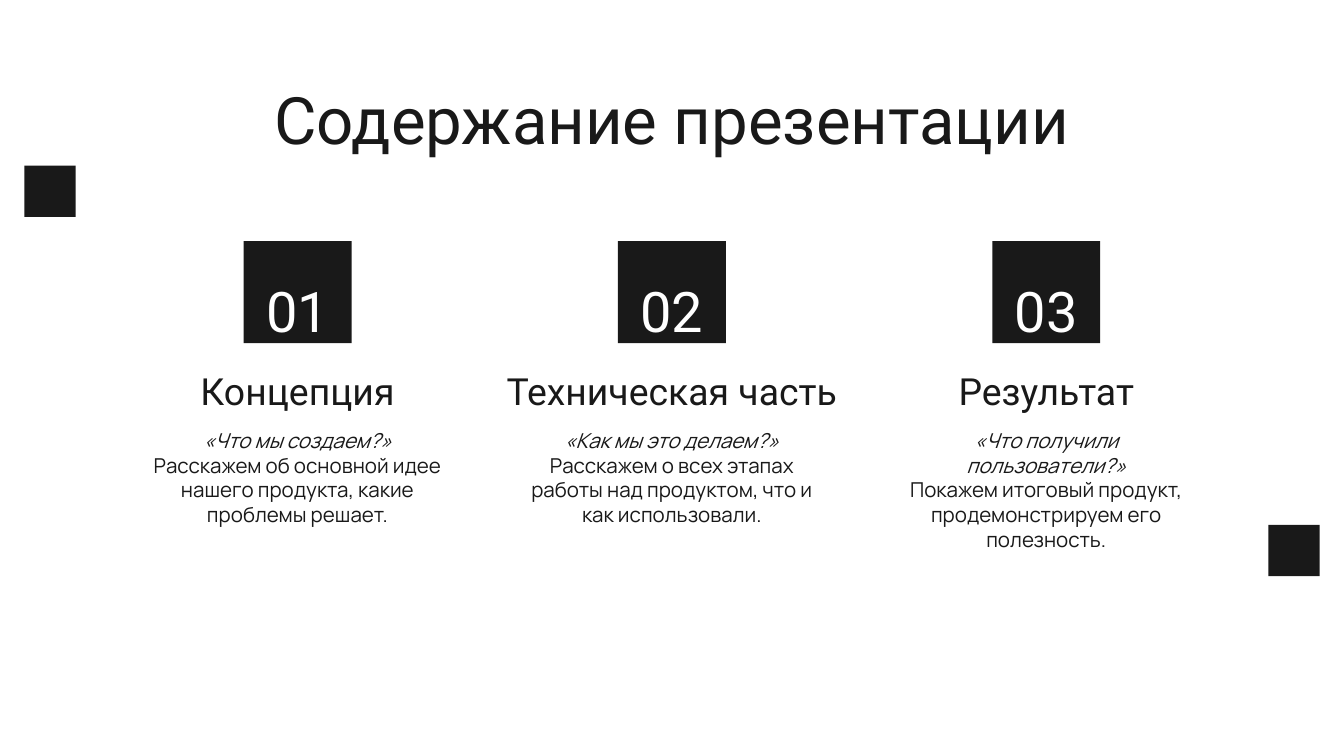
from dataclasses import dataclass

from pptx import Presentation
from pptx.dml.color import RGBColor
from pptx.enum.shapes import MSO_SHAPE as Shape
from pptx.enum.text import MSO_ANCHOR as Anchor, PP_ALIGN as Align
from pptx.util import Cm, Pt


@dataclass(frozen=True)
class Theme:
    dark: RGBColor = RGBColor(0x19, 0x19, 0x19)
    light: RGBColor = RGBColor(0xFF, 0xFF, 0xFF)
    head_font: str = "Roboto"
    body_font: str = "Manrope"
    title: Pt = Pt(35)
    number: Pt = Pt(30)
    heading: Pt = Pt(20)
    body: Pt = Pt(11)


THEME = Theme()
INSET = 0.25
SECTIONS = [
    ("01", "Концепция", 6.25, "«Что мы создаем?»",
     "Расскажем об основной идее нашего продукта, какие проблемы решает."),
    ("02", "Техническая часть", 7.9, "«Как мы это делаем?»",
     "Расскажем о всех этапах работы над продуктом, что и как использовали."),
    ("03", "Результат", 6.25, "«Что получили пользователи?»",
     "Покажем итоговый продукт, продемонстрируем его полезность."),
]


def fill_text(sp, lines, size, font, color, anchor=Anchor.TOP, bottom=INSET):
    tf = sp.text_frame
    tf.word_wrap = True
    tf.vertical_anchor = anchor
    tf.margin_left = tf.margin_right = tf.margin_top = Cm(INSET)
    tf.margin_bottom = Cm(bottom)
    tf.text = "\n".join(lines)
    for p in tf.paragraphs:
        p.alignment = Align.CENTER
        for r in p.runs:
            r.font.size = size
            r.font.name = font
            r.font.color.rgb = color
    return tf


def add_text(slide, box, lines, size, font, anchor=Anchor.TOP):
    sp = slide.shapes.add_textbox(*map(Cm, box))
    return fill_text(sp, lines, size, font, THEME.dark, anchor)


def add_block(slide, box):
    sp = slide.shapes.add_shape(Shape.RECTANGLE, *map(Cm, box))
    sp.shadow.inherit = False
    sp.fill.solid()
    sp.fill.fore_color.rgb = THEME.dark
    sp.line.fill.background()
    return sp


def add_section(slide, box, number, heading, heading_width, question, answer):
    left, top, width, height = box
    center = left + width / 2
    badge_width = 2.04

    add_text(slide, (center - heading_width / 2, top + 2.03, heading_width, 1.47),
             [heading], THEME.heading, THEME.head_font, Anchor.BOTTOM)

    body_top = 3.28
    tf = add_text(slide, (left, top + body_top, width, height - body_top),
                  [question, answer], THEME.body, THEME.body_font)
    tf.paragraphs[0].runs[0].font.italic = True

    badge = add_block(slide, (center - badge_width / 2, top, badge_width, 1.93))
    tf = fill_text(badge, [number], THEME.number, THEME.head_font, THEME.light,
                   Anchor.BOTTOM, bottom=0)
    tf.paragraphs[0].space_after = Pt(10)


def add_contents(slide, box):
    left, top, width, height = box
    column = 6.25
    pitch = (width - column) / (len(SECTIONS) - 1)
    for i, section in enumerate(SECTIONS):
        add_section(slide, (left + i * pitch, top, column, height), *section)


def main():
    prs = Presentation()
    prs.slide_width, prs.slide_height = Cm(25.4), Cm(14.29)
    slide = prs.slides.add_slide(prs.slide_layouts[6])

    for left, top in [(23.97, 9.92), (0.46, 3.13)]:
        add_block(slide, (left, top, 0.97, 0.97))
    add_text(slide, (2, 1.25, 21.4, 1.6), ["Содержание презентации"],
             THEME.title, THEME.head_font)
    add_contents(slide, (2.5, 4.56, 20.4, 6.74))

    prs.save("out.pptx")


if __name__ == "__main__":
    main()
